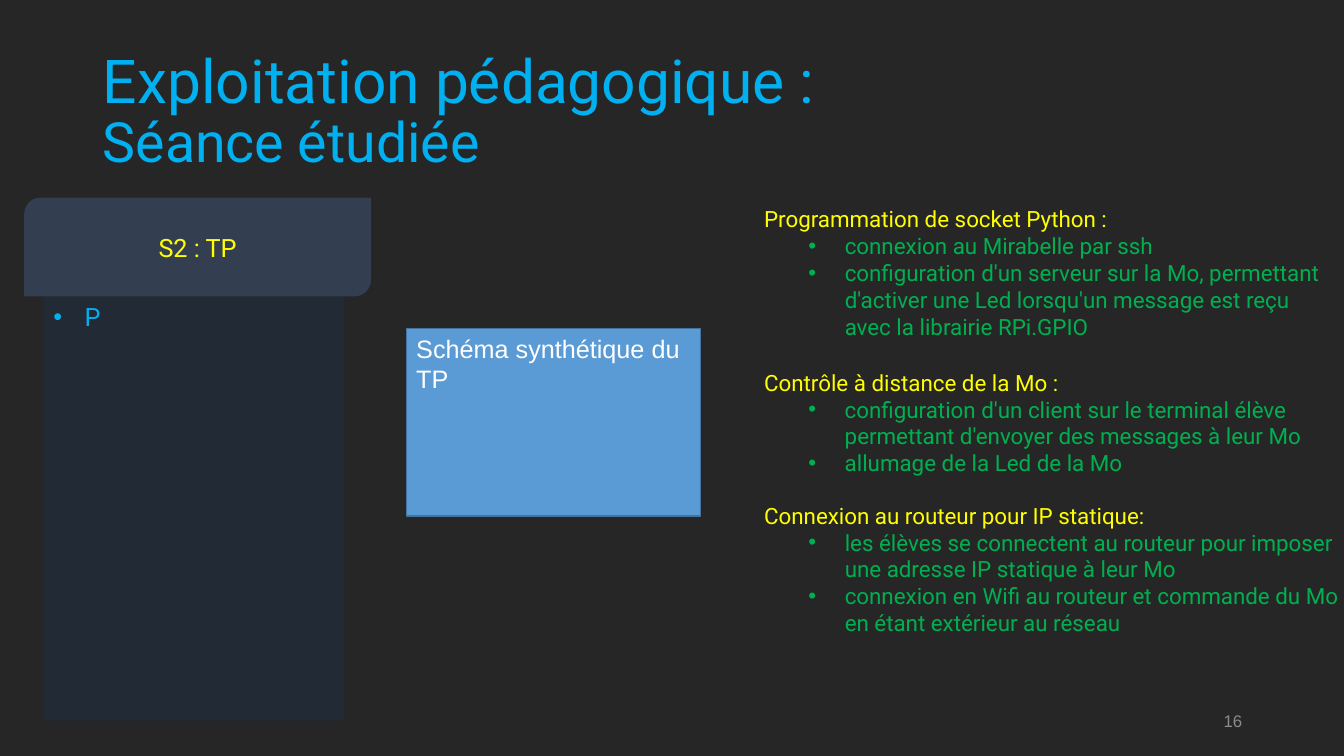
from lxml import etree
from pptx import Presentation
from pptx.dml.color import RGBColor
from pptx.enum import shapes, text
from pptx.oxml import ns
from pptx.util import Inches, Pt

# Content
TITLE_LINES = [("Exploitation pédagogique\u00a0:", 43.2), ("Séance étudiée", 39.6)]
SESSION = "S2\u00a0: TP"
SESSION_ITEM = "P"
DIAGRAM = "Schéma synthétique du TP"
PAGE_NUMBER = "16"
TOPICS = [  # top, width, height, heading, items
    (1.99, 5.78, 1.43, "Programmation de socket Python\u00a0:", [
        "connexion au Mirabelle par ssh",
        "configuration d'un serveur sur la Mo, permettant d'activer une Led "
        "lorsqu'un message est reçu avec la librairie RPi.GPIO",
    ]),
    (3.61, 5.87, 1.17, "Contrôle à distance de la Mo\u00a0:", [
        "configuration d'un client sur le terminal élève permettant "
        "d'envoyer des messages à leur Mo",
        "allumage de la Led de la Mo",
    ]),
    (4.93, 5.98, 1.43, "Connexion au routeur pour IP statique:", [
        "les élèves se connectent au routeur pour imposer une adresse IP "
        "statique à leur Mo",
        "connexion en Wifi au routeur et commande du Mo en étant extérieur "
        "au réseau",
    ]),
]
TOPIC_LEFT = 7.48

THEME = {
    "background": "262626", "title": "00B0F0", "heading": "FFFF00",
    "item": "00B050", "panel": "222A35", "tab": "333F50",
    "diagram": "5B9BD5", "diagram_line": "43739E", "white": "FFFFFF",
    "number": "8C8C8C", "font": "Roboto", "plain_font": "Arial",
    "label_size": 18, "topic_size": 16, "number_size": 12,
}


def color(name):
    return RGBColor.from_string(THEME[name])


def write(paragraph, words, size, fill, font="font", align=text.PP_ALIGN.LEFT):
    """Add one formatted run to a paragraph."""
    paragraph.alignment = align
    run = paragraph.add_run()
    run.text = words
    run.font.name = THEME[font]
    run.font.size = Pt(size)
    run.font.color.rgb = color(fill)


def add_bullet(paragraph, margin, hanging):
    properties = paragraph._p.get_or_add_pPr()
    properties.set("marL", str(Inches(margin)))
    properties.set("indent", str(-Inches(hanging)))
    etree.SubElement(properties, ns.qn("a:buFont"), typeface="Arial")
    etree.SubElement(properties, ns.qn("a:buChar"), char="•")


def add_box(slide, kind, place, fill, line=None, anchor=text.MSO_ANCHOR.TOP):
    box = slide.shapes.add_shape(kind, *map(Inches, place))
    box.shadow.inherit = False
    box.fill.solid()
    box.fill.fore_color.rgb = color(fill)
    if line:
        box.line.color.rgb = color(line)
        box.line.width = Pt(1)
    else:
        box.line.fill.background()
    box.text_frame.word_wrap = True
    box.text_frame.vertical_anchor = anchor
    return box


def add_text_frame(slide, place):
    frame = slide.shapes.add_textbox(*map(Inches, place)).text_frame
    frame.word_wrap = True
    return frame


def add_title(slide):
    title = slide.shapes.title
    title.left, title.top, title.width, title.height = map(
        Inches, (0.92, 0.4, 11.5, 1.45))
    frame = title.text_frame
    frame.auto_size = text.MSO_AUTO_SIZE.NONE
    frame.vertical_anchor = text.MSO_ANCHOR.MIDDLE
    paragraph = frame.paragraphs[0]
    paragraph.line_spacing = 0.88
    for index, (words, size) in enumerate(TITLE_LINES):
        if index:
            paragraph.add_line_break()
        write(paragraph, words, size, "title")


def add_session(slide):
    panel = add_box(slide, shapes.MSO_SHAPE.RECTANGLE,
                    (0.43, 2.94, 2.98, 4.21), "panel")
    item = panel.text_frame.paragraphs[0]
    write(item, SESSION_ITEM, THEME["label_size"], "title")
    add_bullet(item, 0.31, 0.31)

    tab = add_box(slide, shapes.MSO_SHAPE.ROUND_2_DIAG_RECTANGLE,
                  (0.24, 1.96, 3.44, 0.98), "tab",
                  anchor=text.MSO_ANCHOR.MIDDLE)
    write(tab.text_frame.paragraphs[0], SESSION, THEME["label_size"],
          "heading", align=text.PP_ALIGN.CENTER)


def add_topic(slide, top, width, height, heading, items):
    frame = add_text_frame(slide, (TOPIC_LEFT, top, width, height))
    write(frame.paragraphs[0], heading, THEME["topic_size"], "heading")
    for words in items:
        paragraph = frame.add_paragraph()
        paragraph.level = 1
        write(paragraph, words, THEME["topic_size"], "item")
        add_bullet(paragraph, 0.8, 0.36)


def main():
    presentation = Presentation()
    presentation.slide_width = Inches(13.33)
    presentation.slide_height = Inches(7.5)
    slide = presentation.slides.add_slide(presentation.slide_layouts[5])
    slide.background.fill.solid()
    slide.background.fill.fore_color.rgb = color("background")

    # Title and page number
    add_title(slide)
    number = add_text_frame(slide, (9.42, 6.95, 3, 0.4))
    number.vertical_anchor = text.MSO_ANCHOR.MIDDLE
    write(number.paragraphs[0], PAGE_NUMBER, THEME["number_size"], "number",
          font="plain_font", align=text.PP_ALIGN.RIGHT)

    # Session column, topics and diagram
    add_session(slide)
    for topic in TOPICS:
        add_topic(slide, *topic)
    diagram = add_box(slide, shapes.MSO_SHAPE.RECTANGLE,
                      (4.03, 3.26, 2.92, 1.86), "diagram", "diagram_line")
    write(diagram.text_frame.paragraphs[0], DIAGRAM, THEME["label_size"],
          "white", font="plain_font")

    presentation.save("out.pptx")


if __name__ == "__main__":
    main()
